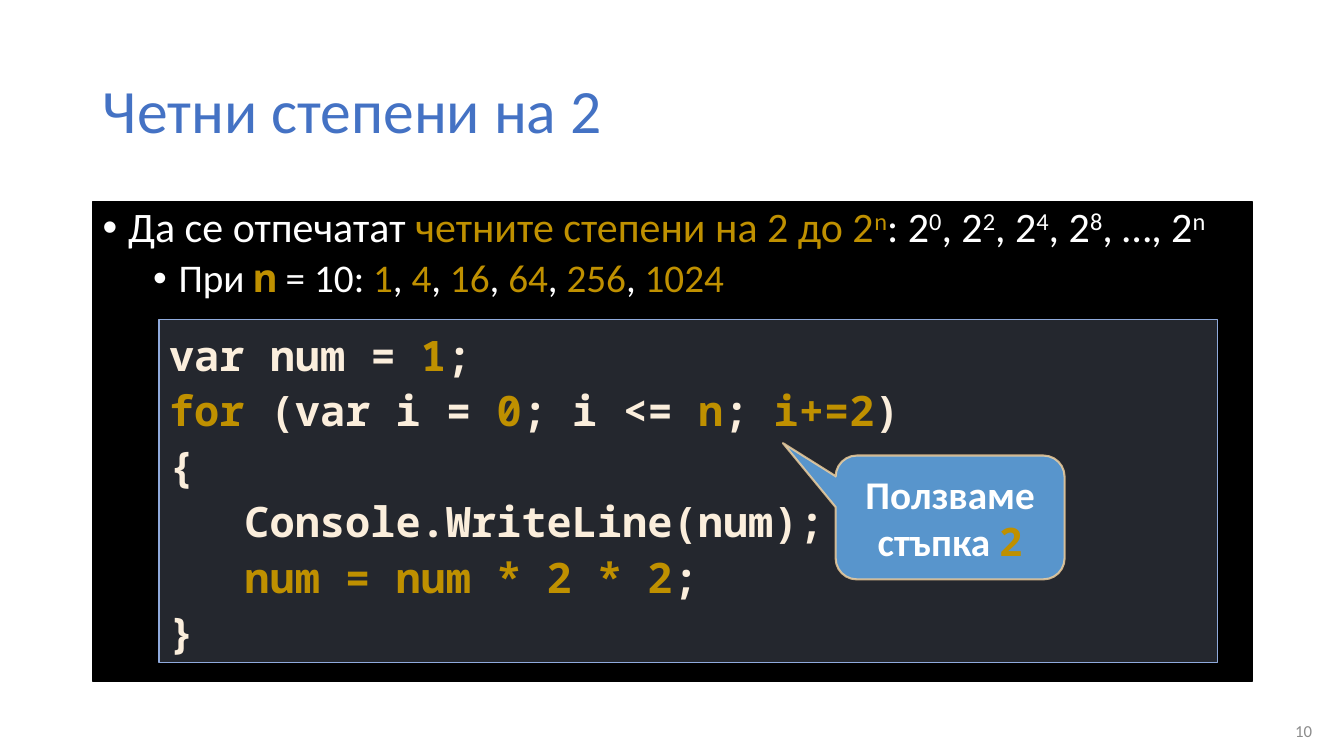
from lxml.etree import SubElement
from pptx import Presentation
from pptx.dml.color import RGBColor
from pptx.enum.shapes import MSO_SHAPE
from pptx.enum.text import MSO_ANCHOR, PP_ALIGN
from pptx.oxml.ns import qn
from pptx.util import Cm, Pt

HUES = {
    "black": "000000", "white": "FFFFFF", "gold": "BF9000", "title": "4472C4",
    "code": "FBEEDC", "panel": "B4C7E7", "edge": "8FAADC",
    "bubble": "5B9BD5", "rim": "F8D49E", "number": "8C8C8C",
}
SANS, MONO = "Calibri", "Noto Sans Mono"


def write(para, text, size, hue, face=SANS, bold=False):
    # "|" switches gold on and off, "~" switches superscript
    for i, piece in enumerate(text.split("|")):
        for j, bit in enumerate(piece.split("~")):
            if not bit:
                continue
            run = para.add_run()
            run.text = bit
            font = run.font
            font.name, font.size, font.bold = face, Pt(size), bold
            font.color.rgb = RGBColor.from_string(HUES["gold" if i % 2 else hue])
            if j % 2:
                font._element.set("baseline", "30000")


def panel(kind, box, fill, line, width, clear=100, faint=100):
    shape = slide.shapes.add_shape(kind, *map(Cm, box))
    shape.shadow.inherit = False
    shape.fill.solid()
    shape.fill.fore_color.rgb = RGBColor.from_string(HUES[fill])
    shape.line.color.rgb = RGBColor.from_string(HUES[line])
    shape.line.width = Pt(width)
    tint = shape._element.spPr.findall(".//" + qn("a:srgbClr"))
    for node, share in zip(tint, (clear, faint)):
        if share < 100:
            SubElement(node, qn("a:alpha"), val=str(share * 1000))
    shape.text_frame.word_wrap = True
    shape.text_frame.vertical_anchor = MSO_ANCHOR.TOP
    return shape


deck = Presentation()
deck.slide_width, deck.slide_height = Cm(33.87), Cm(19.05)
slide = deck.slides.add_slide(deck.slide_layouts[5])

title = slide.shapes.title
title.left, title.top, title.width, title.height = map(Cm, (2.34, 1.01, 29.21, 3.68))
title.text_frame.vertical_anchor = MSO_ANCHOR.MIDDLE
para = title.text_frame.paragraphs[0]
para.alignment, para.line_spacing = PP_ALIGN.LEFT, 0.9
write(para, "Четни степени на 2", 44, "title")

body = panel(MSO_SHAPE.RECTANGLE, (2.34, 5.08, 29.21, 12.09), "black", "black", 1)
points = [
    ("Да се отпечатат |четните степени на 2 до 2~n~|: 2~0~, 2~2~, 2~4~, 2~8~, …, 2~n", 30, 10, 0.64),
    ("При |n| = 10: |1|, |4|, |16|, |64|, |256|, |1024", 28, 5, 1.91),
]
frame = body.text_frame
for row, (text, size, gap, indent) in enumerate(points):
    para = frame.add_paragraph() if row else frame.paragraphs[0]
    para.alignment, para.line_spacing = PP_ALIGN.LEFT, 0.9
    para.space_before = Pt(gap)
    props = para._p.get_or_add_pPr()
    props.set("marL", str(Cm(indent)))
    props.set("indent", str(-Cm(0.64)))
    SubElement(props, qn("a:buFont"), typeface="Arial")
    SubElement(props, qn("a:buChar"), char="•")
    write(para, text, size, "white")
letter = para.runs[1].font
letter.name, letter.bold = MONO, True

code = panel(MSO_SHAPE.RECTANGLE, (4.01, 8.05, 26.67, 8.64), "panel", "edge", 1, clear=20)
lines = [
    ("var num = |1|;", 0),
    ("|for| (var i = |0|; i <= |n|; |i+=2|)", 0),
    ("{", 0),
    ("Console.WriteLine(num);", 1.9),
    ("|num = num * 2 * 2|;", 1.9),
    ("}", 0),
]
frame = code.text_frame
for row, (text, indent) in enumerate(lines):
    para = frame.add_paragraph() if row else frame.paragraphs[0]
    para.alignment, para.line_spacing = PP_ALIGN.LEFT, 1.1
    para._p.get_or_add_pPr().set("marL", str(Cm(indent)))
    write(para, text, 30, "code", MONO, True)

bubble = panel(MSO_SHAPE.ROUNDED_RECTANGULAR_CALLOUT, (21.06, 11.48, 5.77, 3.12),
               "bubble", "rim", 1.5, clear=95, faint=80)
for spot, value in enumerate((-0.73, -0.6, 0.17)):
    bubble.adjustments[spot] = value
bubble.text_frame.vertical_anchor = MSO_ANCHOR.MIDDLE
para = bubble.text_frame.paragraphs[0]
para.alignment = PP_ALIGN.CENTER
write(para, "Ползваме стъпка |2", 28, "white", bold=True)
para.runs[1].font.name = MONO

number = slide.shapes.add_textbox(*map(Cm, (32.13, 18.14, 1.19, 0.53)))
number.text_frame.word_wrap = True
number.text_frame.vertical_anchor = MSO_ANCHOR.MIDDLE
para = number.text_frame.paragraphs[0]
para.alignment = PP_ALIGN.RIGHT
write(para, "10", 12, "number")

deck.save("out.pptx")
